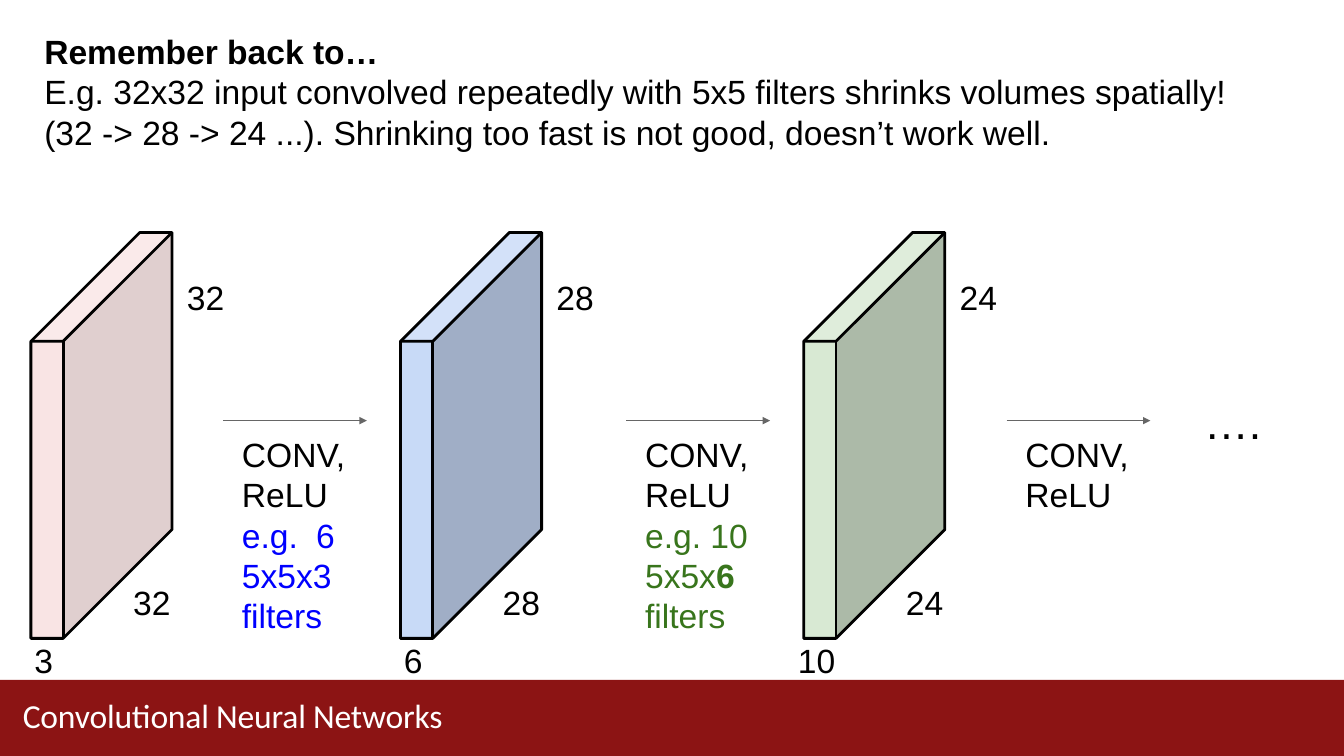
from pptx import Presentation
from pptx.dml.color import RGBColor
from pptx.enum import shapes, text
from pptx.oxml import parse_xml
from pptx.oxml import ns
from pptx.util import Inches, Pt

HUES = {
    "black": "000000", "white": "FFFFFF", "grey": "666666", "red": "8C1414",
    "blue": "0000FF", "green": "38751C",
}
FACES = {
    "pink": ("F9E4E4", "E0CFCF", "FAEAEA"),
    "blue": ("C8DAF7", "A0AEC6", "D3E1F9"),
    "green": ("D8E9D3", "ACBAA8", "DFEDDB"),
}


def write(slide, box, lines, size=18, font="Arial", hue="black", top=0.01):
    """Add a text box with one paragraph per line and return its paragraphs."""
    frame = slide.shapes.add_textbox(*map(Inches, box)).text_frame
    frame.word_wrap = True
    frame.margin_left = frame.margin_right = frame.margin_bottom = 0
    frame.margin_top = Inches(top)
    frame.text = "\n".join(lines)
    for para in frame.paragraphs:
        for run in para.runs:
            style(run, size, font, hue)
    return frame.paragraphs


def style(run, size=18, font="Arial", hue="black", bold=False):
    """Set the look of one run."""
    run.font.size, run.font.name, run.font.bold = Pt(size), font, bold
    run.font.color.rgb = RGBColor.from_string(HUES[hue])


def draw(slide, paths, fill=None):
    """Draw paths as one freeform, filled or outlined in black."""
    paths = [[(Inches(x), Inches(y)) for x, y in path] for path in paths]
    pen = slide.shapes.build_freeform(*paths[0][0])
    for i, path in enumerate(paths):
        if i:
            pen.move_to(*path[0])
        pen.add_line_segments(path[1:], close=i == 0)
    shape = pen.convert_to_shape()
    shape.shadow.inherit = False
    if fill:
        shape.fill.solid()
        shape.fill.fore_color.rgb = RGBColor.from_string(fill)
        shape.line.fill.background()
    else:
        shape.fill.background()
        shape.line.color.rgb = RGBColor.from_string(HUES["black"])
        shape.line.width = Pt(1.5)


def volume(slide, box, side, depth, tint):
    """Draw a slab filling the box, with its side and depth labels."""
    x, y, wide, high = box
    thick, rise = 0.24, 0.81
    near, back, right = x + thick, x + wide - thick, x + wide
    edge, base, low = y + rise, y + high, y + high - rise
    front = [(x, edge), (near, edge), (near, base), (x, base)]
    flank = [(near, base), (near, edge), (right, y), (right, low)]
    lid = [(near, edge), (x, edge), (back, y), (right, y)]
    for face, fill in zip((front, flank, lid), FACES[tint]):
        draw(slide, [face], fill)
    rim = [(x, edge), (back, y), (right, y), (right, low), (near, base), (x, base)]
    draw(slide, [rim, [(x, edge), (near, edge), (right, y)],
                 [(near, edge), (near, base)]])
    write(slide, (x + 0.76, y + 2.59, 0.31, 0.33), [side])
    write(slide, (x + 1.16, y + 0.32, 0.31, 0.33), [side])
    para, = write(slide, (x - 0.06, y + 3.02, 0.31, 0.33), [depth])
    para.alignment = text.PP_ALIGN.CENTER


def step(slide, box, parts=(), hue="black"):
    """Draw an arrow along the top of the box, with its layer text below."""
    x, y, wide, high = box
    arrow = slide.shapes.add_connector(
        shapes.MSO_CONNECTOR.STRAIGHT, *map(Inches, (x, y, x + wide, y)))
    arrow.line.color.rgb = RGBColor.from_string(HUES["grey"])
    arrow.line.width = Pt(0.75)
    space = ns.nsdecls("a")
    arrow.line._get_or_add_ln().append(
        parse_xml(f'<a:tailEnd {space} type="triangle" w="sm" len="sm"/>'))
    arrow._element.spPr.append(parse_xml(f"<a:effectLst {space}/>"))
    lines = ["CONV, ReLU"] + ([""] if parts else [])
    paras = write(slide, (x + 0.14, y + 0.09, 0.82, high - 0.09), lines)
    for i, part in enumerate(parts):
        run = paras[1].add_run()
        run.text = part
        style(run, hue=hue, bold=i == 1)
    return paras


def heading(slide, box):
    """Write the bold title and the remark below it."""
    x, y, wide, high = box
    title, = write(slide, (x + 0.02, y, wide, 0.33), ["Remember back to…"])
    title.runs[0].font.bold = True
    write(slide, (x + 0.02, y + 0.3, wide, high - 0.3), [
        "E.g. 32x32 input convolved repeatedly with 5x5 filters shrinks volumes "
        "spatially! (32 -> 28 -> 24 ...). Shrinking too fast is not good, "
        "doesn’t work well."])


def footer(slide, box):
    """Draw the red band with the topic name."""
    x, y, wide, high = box
    band = slide.shapes.add_shape(
        shapes.MSO_SHAPE.RECTANGLE, *map(Inches, box))
    band.shadow.inherit = False
    band.fill.solid()
    band.fill.fore_color.rgb = RGBColor.from_string(HUES["red"])
    band.line.fill.background()
    topic, = write(slide, (x + 0.17, y + 0.12, 5.14, 0.29),
                   ["Convolutional Neural Networks"], 18, "Calibri", "white", 0)
    topic.line_spacing = Pt(20.9)
    topic.runs[0]._r.get_or_add_rPr().set("spc", "-10")


def main():
    """Build the slide and save it."""
    deck = Presentation()
    deck.slide_width = Inches(10)
    deck.slide_height = deck.slide_width * 9 // 16
    slide = deck.slides.add_slide(deck.slide_layouts[6])
    footer(slide, (0, 5.06, 10, 0.57))
    heading(slide, (0.31, 0.22, 8.85, 0.93))
    for x, side, depth, tint in ((0.23, "32", "3", "pink"),
                                 (2.98, "28", "6", "blue"),
                                 (5.98, "24", "10", "green")):
        volume(slide, (x, 1.73, 1.05, 3.02), side, depth, tint)
    paras = step(slide, (1.66, 3.13, 1.07, 1.63), ["e.g. 6 5x5x3 filters"], "blue")
    paras[1].alignment = text.PP_ALIGN.JUSTIFY
    paras[1]._p.get_or_add_pPr().set("marR", str(Inches(0.13)))
    step(slide, (4.66, 3.13, 1.07, 1.63), ["e.g. 10 5x5x", "6 ", "filters"], "green")
    step(slide, (7.49, 3.13, 1.07, 0.72))
    write(slide, (8.96, 2.93, 0.45, 0.43), ["…."], 24)
    deck.save("out.pptx")


if __name__ == "__main__":
    main()
